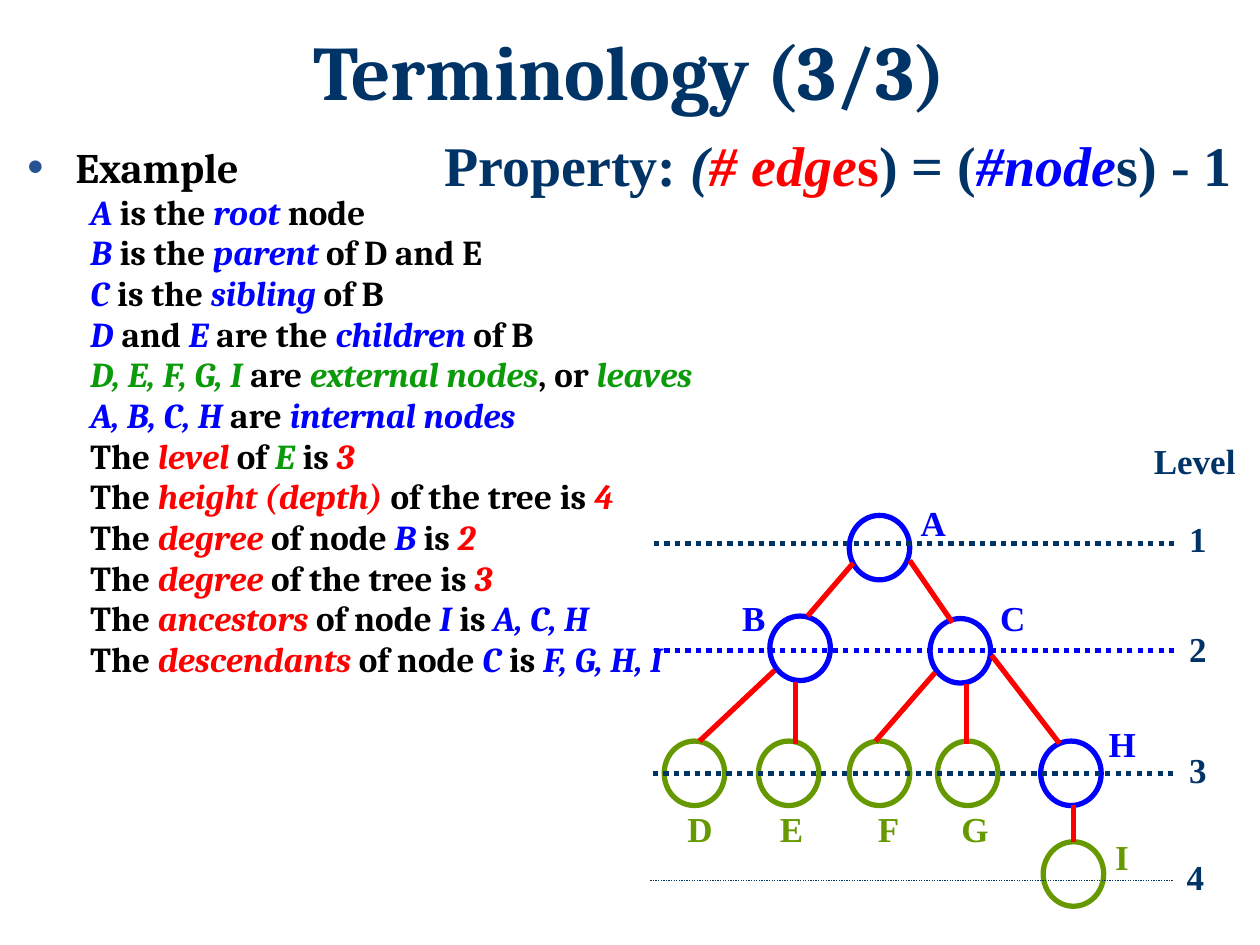
from lxml import etree
from pptx import Presentation
from pptx.dml.color import RGBColor
from pptx.enum.dml import MSO_LINE
from pptx.enum.shapes import MSO_CONNECTOR, MSO_SHAPE
from pptx.enum.text import MSO_ANCHOR, MSO_AUTO_SIZE, PP_ALIGN
from pptx.oxml.ns import qn
from pptx.util import Cm, Pt

OVAL, STRAIGHT = MSO_SHAPE.OVAL, MSO_CONNECTOR.STRAIGHT
DOTTED, TOP, CENTER = MSO_LINE.ROUND_DOT, MSO_ANCHOR.TOP, PP_ALIGN.CENTER
FIT_SHAPE, NO_FIT = MSO_AUTO_SIZE.SHAPE_TO_FIT_TEXT, MSO_AUTO_SIZE.NONE

COLORS = {"navy": "003366", "black": "000000", "blue": "0000FF", "red": "FF0000",
          "green": "0A9A0A", "olive": "669900", "bullet": "275393"}
TITLE = {"name": "Cambria", "size": Pt(44), "bold": True}
HEADING = {"name": "Cambria", "size": Pt(24), "bold": True}
ITEM = {"name": "Cambria", "size": Pt(20), "bold": True}
LABEL = {"name": "Times New Roman", "size": Pt(20), "bold": True}
PROPERTY = {"name": "Times New Roman", "size": Pt(32), "bold": True}


def write_runs(paragraph, runs, font_format):
    """Add (text, color, italic) runs that share one font format."""
    for text, color, italic in runs:
        run = paragraph.add_run()
        run.text = text
        for name, value in font_format.items():
            setattr(run.font, name, value)
        run.font.italic = italic
        run.font.color.rgb = RGBColor.from_string(COLORS[color])


def add_property(parent, tag, **attributes):
    """Append a DrawingML child element."""
    return etree.SubElement(parent, qn(tag), attributes)


presentation = Presentation()
presentation.slide_width, presentation.slide_height = Cm(25.4), Cm(19.05)
slide = presentation.slides.add_slide(presentation.slide_layouts[1])
title, body = slide.shapes.title, slide.placeholders[1]

# Title and body frames
for placeholder, left, top, width, height in [
    (title, 1.27, 0.56, 22.86, 3.18),
    (body, 0.3, 2.92, 22.86, 11.4),
]:
    placeholder.left, placeholder.top = Cm(left), Cm(top)
    placeholder.width, placeholder.height = Cm(width), Cm(height)
    placeholder.text_frame.vertical_anchor = TOP
    placeholder.text_frame.auto_size = NO_FIT

paragraph = title.text_frame.paragraphs[0]
paragraph.alignment, paragraph.line_spacing = CENTER, 0.9
write_runs(paragraph, [("Terminology (3/3)", "navy", False)], TITLE)

# Body list: plain text is black, coloured terms are italic
items = [
    [("Example", "black")],
    [("A ", "blue"), ("is the ", "black"), ("root ", "blue"), ("node", "black")],
    [("B ", "blue"), ("is the ", "black"), ("parent ", "blue"), ("of D and E", "black")],
    [("C ", "blue"), ("is the ", "black"), ("sibling ", "blue"), ("of B", "black")],
    [("D ", "blue"), ("and ", "black"), ("E ", "blue"), ("are the ", "black"),
     ("children ", "blue"), ("of B", "black")],
    [("D, E, F, G, I", "green"), (" are ", "black"), ("external nodes", "green"),
     (", or ", "black"), ("leaves", "green")],
    [("A, B, C, H ", "blue"), ("are ", "black"), ("internal nodes", "blue")],
    [("The ", "black"), ("level", "red"), (" of ", "black"), ("E ", "green"),
     ("is ", "black"), ("3", "red")],
    [("The ", "black"), ("height (depth) ", "red"), ("of the tree is ", "black"), ("4", "red")],
    [("The ", "black"), ("degree ", "red"), ("of node ", "black"), ("B ", "blue"),
     ("is ", "black"), ("2", "red")],
    [("The ", "black"), ("degree ", "red"), ("of the tree is ", "black"), ("3", "red")],
    [("The ", "black"), ("ancestors ", "red"), ("of node ", "black"), ("I ", "blue"),
     ("is", "black"), (" A, C, H", "blue")],
    [("The ", "black"), ("descendants ", "red"), ("of node ", "black"), ("C ", "blue"),
     ("is ", "black"), ("F, G, H, I", "blue")],
]
for index, item in enumerate(items):
    heading = index == 0
    paragraph = body.text_frame.paragraphs[0] if heading else body.text_frame.add_paragraph()
    paragraph.level = 0 if heading else 1
    paragraph.line_spacing = 0.8
    properties = paragraph._p.get_or_add_pPr()
    margin, indent = (0.97, -0.97) if heading else (2.06, -0.79)
    properties.set("marL", str(Cm(margin)))
    properties.set("indent", str(Cm(indent)))
    add_property(add_property(properties, "a:spcBef"), "a:spcPct", val="20000")
    if heading:
        add_property(add_property(properties, "a:buClr"), "a:srgbClr", val=COLORS["bullet"])
        add_property(properties, "a:buSzPct", val="110000")
        add_property(properties, "a:buChar", char="•")
    else:
        add_property(properties, "a:buNone")
    write_runs(paragraph, [(text, color, color != "black") for text, color in item],
               HEADING if heading else ITEM)

# Tree nodes: left, top, color
for left, top, color in [
    (17.12, 10.39, "blue"), (15.52, 12.42, "blue"), (18.75, 12.47, "blue"),
    (13.39, 14.94, "olive"), (15.29, 14.94, "olive"), (17.12, 14.94, "olive"),
    (18.9, 14.94, "olive"), (20.98, 14.94, "blue"), (21.03, 16.97, "olive"),
]:
    node = slide.shapes.add_shape(OVAL, Cm(left), Cm(top), Cm(1.22), Cm(1.3))
    node.shadow.inherit = False
    node.fill.background()
    node.line.color.rgb = RGBColor.from_string(COLORS[color])
    node.line.width = Pt(3)

# Tree edges and dotted level lines: start, end, color, width, dash
edges = [
    (17.2, 11.35, 16.28, 12.42), (18.34, 11.3, 19.2, 12.55),
    (15.62, 13.51, 14.1, 14.94), (16.03, 13.74, 16.03, 14.99),
    (18.85, 13.56, 17.65, 14.94), (19.48, 13.79, 19.48, 14.99),
    (19.99, 13.21, 21.36, 14.99), (21.64, 16.23, 21.64, 16.97),
]
level_lines = [
    (13.18, 10.95, 23.72, 10.95, "navy", 3, DOTTED),
    (13.18, 13.11, 23.72, 13.11, "blue", 3, DOTTED),
    (13.16, 15.6, 23.67, 15.6, "navy", 3, DOTTED),
    (13.11, 17.75, 23.65, 17.75, "navy", 0.75, DOTTED),
]
for x1, y1, x2, y2, color, width, dash in [
    *((*edge, "red", 3, None) for edge in edges), *level_lines
]:
    line = slide.shapes.add_connector(STRAIGHT, Cm(x1), Cm(y1), Cm(x2), Cm(y2))
    line.line.color.rgb = RGBColor.from_string(COLORS[color])
    line.line.width = Pt(width)
    line.line.dash_style = dash
    add_property(line._element.spPr, "a:effectLst")

# Node names, level numbers and the property: left, top, width, height, runs, format
labels = [
    ("A", 18.31, 9.98, 1.02, "blue"), ("B", 14.71, 11.91, 0.99, "blue"),
    ("C", 19.91, 11.91, 1.02, "blue"), ("H", 22.1, 14.45, 1.07, "blue"),
    ("I", 22.23, 16.71, 0.79, "olive"), ("D", 13.61, 16.15, 1.02, "olive"),
    ("E", 15.47, 16.15, 0.99, "olive"), ("F", 17.45, 16.15, 0.94, "olive"),
    ("G", 19.13, 16.15, 1.07, "olive"), ("Level", 23.01, 8.74, 2.16, "navy"),
    ("1", 23.72, 10.31, 0.86, "navy"), ("2", 23.72, 12.52, 0.86, "navy"),
    ("3", 23.72, 14.96, 0.86, "navy"), ("4", 23.67, 17.12, 0.86, "navy"),
]
property_runs = [
    ("Property: ", "navy", False), ("(", "navy", True), ("# edge", "red", True),
    ("s", "red", False), (") = (", "navy", False), ("#node", "blue", True),
    ("s) - 1", "navy", False),
]
for left, top, width, height, runs, font_format in [
    *((left, top, width, 1.09, [(text, color, False)], LABEL)
      for text, left, top, width, color in labels),
    (8.71, 2.51, 16.54, 1.63, property_runs, PROPERTY),
]:
    text_box = slide.shapes.add_textbox(Cm(left), Cm(top), Cm(width), Cm(height))
    text_box.text_frame.word_wrap = False
    text_box.text_frame.auto_size = FIT_SHAPE
    write_runs(text_box.text_frame.paragraphs[0], runs, font_format)

presentation.save("out.pptx")
